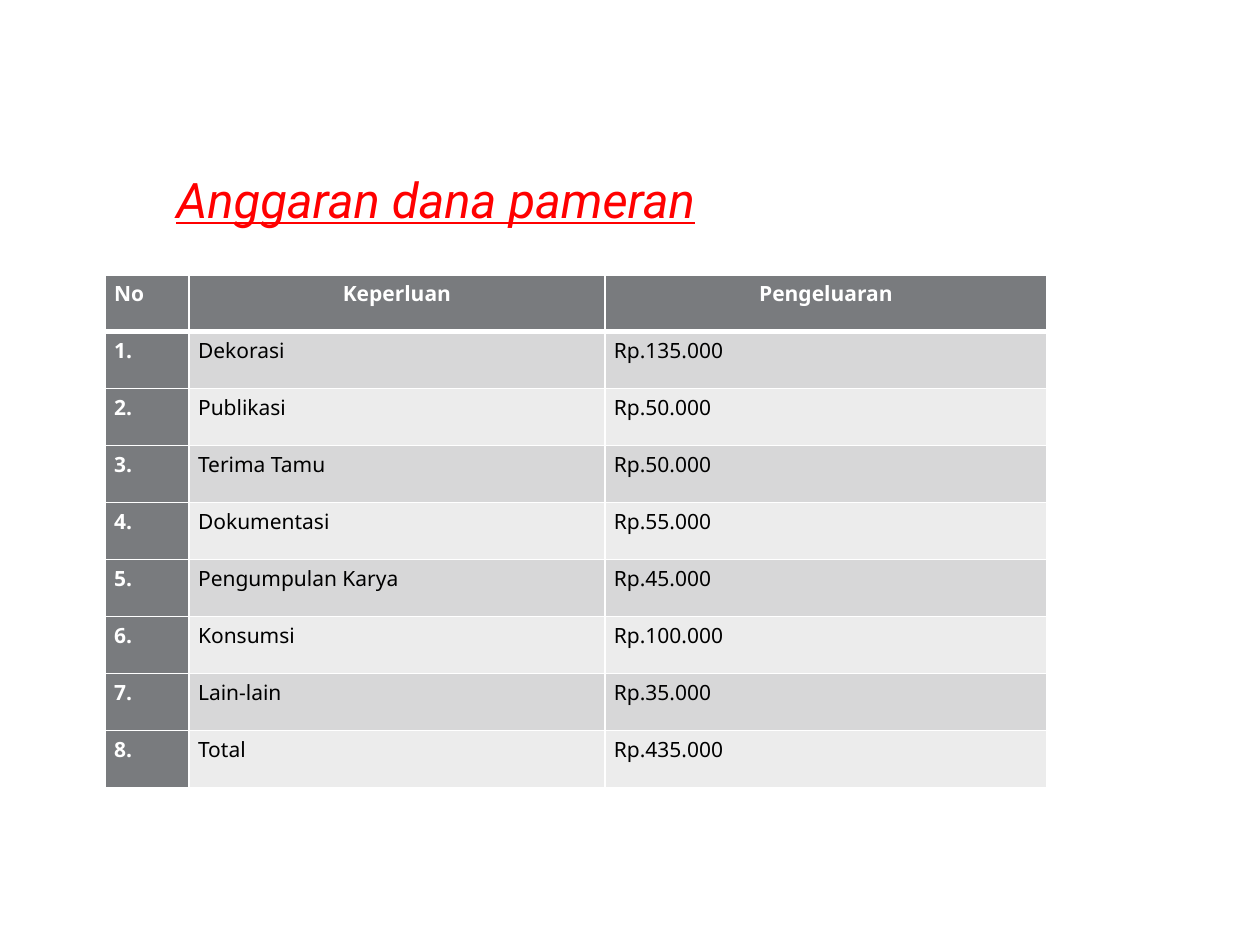
"""Build the exhibition budget slide."""
from lxml.etree import SubElement
from pptx import Presentation
from pptx.dml.color import RGBColor
from pptx.enum.text import MSO_ANCHOR, PP_ALIGN
from pptx.oxml.ns import qn
from pptx.util import Pt


def paint(target, color):
    target.solid()
    target.fore_color.rgb = RGBColor.from_string(color)


def style(item, values):
    for name, value in values.items():
        setattr(item, name, value)


deck = Presentation()
style(deck, {"slide_width": Pt(720), "slide_height": Pt(540)})
slide = deck.slides.add_slide(deck.slide_layouts[5])

title = slide.shapes.title
style(title, {"left": Pt(93.6), "top": Pt(92.9), "width": Pt(393), "height": Pt(41)})
style(title.text_frame, {"text": "Anggaran dana pameran", "word_wrap": False,
                         "vertical_anchor": MSO_ANCHOR.MIDDLE})
line = title.text_frame.paragraphs[0]
line.alignment = PP_ALIGN.LEFT
font = line.runs[0].font
style(font, {"name": "Roboto", "size": Pt(28), "italic": True, "underline": True})
paint(font.fill, "FF0000")

costs = [
    ("Dekorasi", "Rp.135.000"),
    ("Publikasi", "Rp.50.000"),
    ("Terima Tamu", "Rp.50.000"),
    ("Dokumentasi", "Rp.55.000"),
    ("Pengumpulan Karya", "Rp.45.000"),
    ("Konsumsi", "Rp.100.000"),
    ("Lain-lain", "Rp.35.000"),
    ("Total", "Rp.435.000"),
]
rows = [("No", "Keperluan", "Pengeluaran")]
rows += [(f"{num}.", *cost) for num, cost in enumerate(costs, 1)]
widths = [48, 237.6, 252.7]
high = 32.57

frame = slide.shapes.add_table(len(rows), len(widths), Pt(60), Pt(157),
                               Pt(sum(widths)), Pt(high * len(rows)))
table = frame.table
table.first_col = True
for col, width in zip(table.columns, widths):
    col.width = Pt(width)

for r, row in enumerate(rows):
    table.rows[r].height = Pt(high)
    for c, text in enumerate(row):
        cell = table.cell(r, c)
        head = r == 0 or c == 0
        style(cell, {"text": text, "margin_left": Pt(5.2), "margin_right": Pt(5.2),
                     "margin_top": 0, "margin_bottom": 0})
        props = cell._tc.get_or_add_tcPr()
        thick = {0: "lnB", 1: "lnT"}.get(r)
        for side in ("lnL", "lnR", "lnT", "lnB"):
            edge = SubElement(props, qn(f"a:{side}"), w=str(Pt(3 if side == thick else 1)))
            fill = SubElement(edge, qn("a:solidFill"))
            SubElement(fill, qn("a:srgbClr"), val="FFFFFF")
        paint(cell.fill, "797B7E" if head else ("ECECEC", "D7D7D8")[r % 2])
        line = cell.text_frame.paragraphs[0]
        style(line, {"line_spacing": 1.15,
                     "alignment": PP_ALIGN.CENTER if r == 0 and c else PP_ALIGN.LEFT})
        font = line.runs[0].font
        style(font, {"name": "Noto Sans", "size": Pt(12), "bold": head})
        paint(font.fill, "FFFFFF" if head else "000000")

deck.save("out.pptx")
